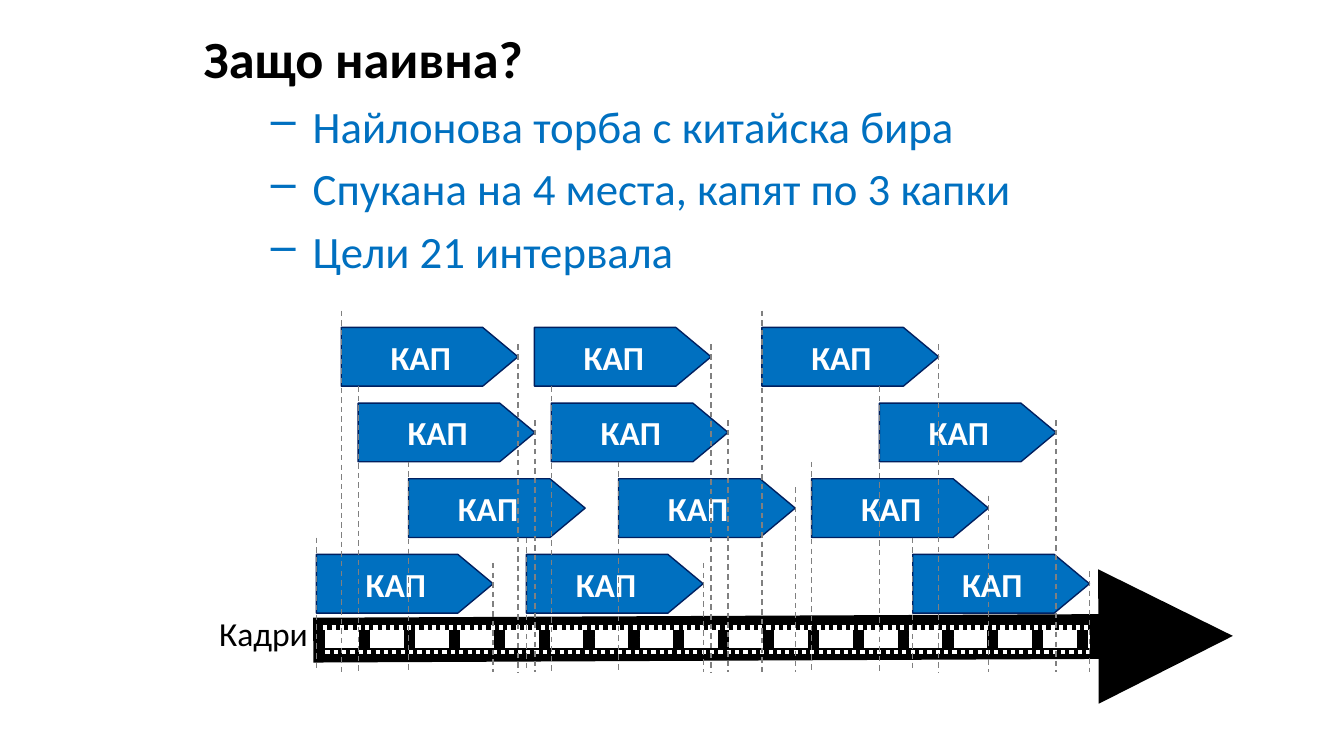
from lxml import etree
from pptx import Presentation
from pptx.dml.color import RGBColor
from pptx.enum.dml import MSO_LINE
from pptx.enum.shapes import MSO_CONNECTOR, MSO_SHAPE
from pptx.enum.text import MSO_ANCHOR, MSO_AUTO_SIZE, PP_ALIGN
from pptx.oxml.ns import qn
from pptx.util import Cm, Pt

STRAIGHT = MSO_CONNECTOR.STRAIGHT
PENTAGON = MSO_SHAPE.PENTAGON
DASH = MSO_LINE.DASH
FRAME_DASH = MSO_LINE.SQUARE_DOT  # sysDot in the file format
CENTER, RIGHT = PP_ALIGN.CENTER, PP_ALIGN.RIGHT
MIDDLE = MSO_ANCHOR.MIDDLE
GROW = MSO_AUTO_SIZE.SHAPE_TO_FIT_TEXT

BLACK, WHITE, BLUE, NAVY, GRAY = "000000", "FFFFFF", "0070C0", "002060", "808080"


def draw_line(shapes, start, end, color, width, dash=None):
    """Add a shadowless straight line between two points in centimetres."""
    line = shapes.add_connector(STRAIGHT, *(Cm(v) for v in start + end))
    line.line.color.rgb = RGBColor.from_string(color)
    line.line.width = Pt(width)
    if dash:
        etree.SubElement(line.line._get_or_add_ln(), qn("a:prstDash"), val=dash)
    etree.SubElement(line._element.spPr, qn("a:effectLst"))
    return line


def format_text(paragraph, size, color, bold=False):
    font = paragraph.runs[0].font
    font.name = "Calibri"
    font.size = Pt(size)
    font.bold = bold
    font.color.rgb = RGBColor.from_string(color)


prs = Presentation()
prs.slide_width, prs.slide_height = Cm(25.4), Cm(14.29)
slide = prs.slides.add_slide(prs.slide_layouts[6])
shapes = slide.shapes

# Time axis
axis = draw_line(shapes, (5.92, 12.1), (23.3, 12.02), BLACK, 24)
etree.SubElement(axis.line._get_or_add_ln(), qn("a:tailEnd"), type="triangle")

# Heading and points
body = shapes.add_textbox(Cm(3.6), Cm(0.38), Cm(21.8), Cm(13.13)).text_frame
body.word_wrap = True
body.text = "\n".join([
    "Защо наивна?",
    "Найлонова торба с китайска бира",
    "Спукана на 4 места, капят по 3 капки",
    "Цели 21 интервала",
])
heading, *points = body.paragraphs
format_text(heading, 28, BLACK, bold=True)
heading.space_before = Pt(5.6)
for point in points:
    format_text(point, 24, BLUE)
    point.level = 1
    point.space_before = Pt(4.8)
    properties = point._p.get_or_add_pPr()
    properties.set("marL", str(Cm(2.06)))
    properties.set("indent", str(Cm(-0.79)))
    etree.SubElement(properties, qn("a:buChar"), char="–")

# Film strip: two rows of frames between two rows of perforations
film = shapes.add_group_shape().shapes
for left, y, width, dash in [
    (6.15, 12.01, 6, "sysDash"),
    (6.15, 12.14, 6, "sysDash"),
    (6.11, 11.86, 2.25, "sysDot"),
    (6.15, 12.32, 2.25, "sysDot"),
]:
    draw_line(film, (left, y), (left + 14.45, y), WHITE, width, dash)

axis_label = shapes.add_textbox(Cm(3.38), Cm(11.66), Cm(2.44), Cm(0.84)).text_frame
axis_label.word_wrap = True
axis_label.auto_size = GROW
axis_label.margin_left = axis_label.margin_right = 0
axis_label.text = "Кадри"
caption = axis_label.paragraphs[0]
format_text(caption, 18, BLACK)
caption.alignment = RIGHT
caption.line_spacing = Pt(16)
caption.space_before = Pt(3.6)

# Drops: left edge, start guide shown, depth at which the end guide begins
DROP_WIDTH, DROP_HEIGHT = 3.34, 1.11
FIRST_ROW, ROW_STEP = 6.19, 1.43
GUIDE_RISE, GUIDE_BOTTOM = 0.32, 12.7
drop_rows = [
    [(6.45, True, 0.32), (10.1, False, 0.32), (14.4, True, 0.32)],
    [(6.77, True, 0.32), (10.42, True, 0.32), (16.62, True, 0.32)],
    [(7.72, True, None), (11.69, True, 0.16), (15.34, True, 0.32)],
    [(5.98, True, 0.16), (9.95, True, 0.16), (17.25, True, 0.32)],
]
guides = []
for row, drops in enumerate(drop_rows):
    top = FIRST_ROW + row * ROW_STEP
    for left, has_start, end_depth in drops:
        drop = shapes.add_shape(PENTAGON, Cm(left), Cm(top), Cm(DROP_WIDTH), Cm(DROP_HEIGHT))
        drop.adjustments[0] = 0.6
        drop.shadow.inherit = False
        drop.fill.solid()
        drop.fill.fore_color.rgb = RGBColor.from_string(BLUE)
        drop.line.color.rgb = RGBColor.from_string(NAVY)
        drop.line.width = Pt(0.75)
        drop.text_frame.text = "КАП"
        drop.text_frame.word_wrap = False
        drop.text_frame.vertical_anchor = MIDDLE
        drop.text_frame.paragraphs[0].alignment = CENTER
        format_text(drop.text_frame.paragraphs[0], 18, WHITE, bold=True)
        if has_start:
            guides.append((left, top - GUIDE_RISE))
        if end_depth is not None:
            guides.append((left + DROP_WIDTH, top + end_depth))

# Guides from the drops' edges down to the axis
guide_group = shapes.add_group_shape().shapes
for x, top in guides:
    draw_line(guide_group, (x, top), (x, GUIDE_BOTTOM), GRAY, 0.75, "dash")

prs.save("out.pptx")
